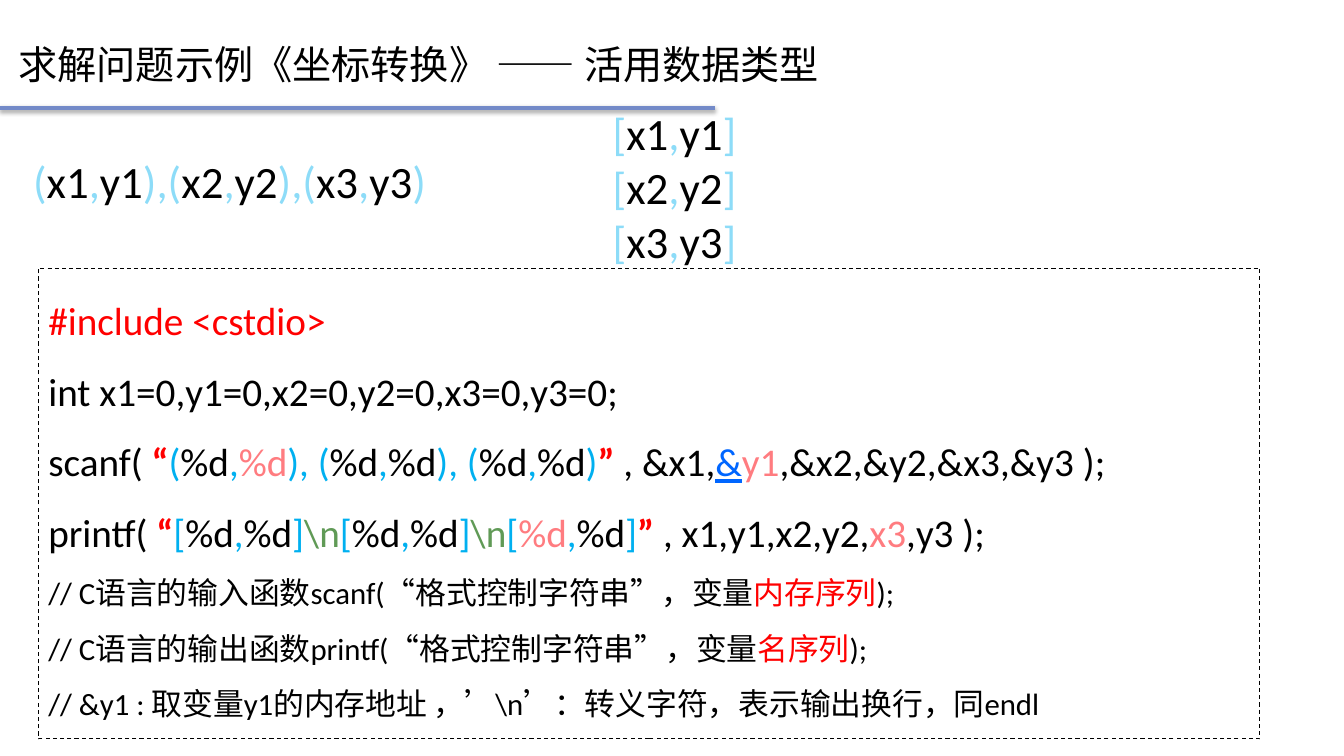
from lxml import etree
from pptx import Presentation
from pptx.dml.color import RGBColor
from pptx.enum import dml, shapes, text
from pptx.oxml import ns
from pptx.util import Pt

BLACK = RGBColor(0x00, 0x00, 0x00)
RED = RGBColor(0xFF, 0x00, 0x00)
PINK = RGBColor(0xFF, 0x7C, 0x80)
SKY = RGBColor(0x8D, 0xDC, 0xF8)
CYAN = RGBColor(0x00, 0xB0, 0xF0)
GREEN = RGBColor(0x60, 0x9A, 0x56)
LINK = RGBColor(0x00, 0x66, 0xFF)
RULE = RGBColor(0x73, 0x8A, 0xC8)


class SlideBuilder:
    latin = "Calibri"
    chinese = "Noto Sans CJK SC"

    def __init__(self, presentation):
        self.slide = presentation.slides.add_slide(presentation.slide_layouts[5])

    def format_run(self, run, size, color, latin):
        font = run.font
        font.name = latin
        font.size = Pt(size)
        font.color.rgb = color
        font.bold = run.text.strip() in ("“", "”")
        font.underline = color == LINK
        east_asian = etree.Element(ns.qn("a:ea"), typeface=self.chinese)
        font._element.find(ns.qn("a:latin")).addnext(east_asian)

    def fill_text(self, text_frame, lines, spacing=None):
        text_frame.word_wrap = True
        text_frame.auto_size = text.MSO_AUTO_SIZE.SHAPE_TO_FIT_TEXT
        text_frame.vertical_anchor = text.MSO_ANCHOR.TOP
        for index, (size, pieces) in enumerate(lines):
            paragraph = text_frame.paragraphs[0] if index == 0 else text_frame.add_paragraph()
            paragraph.alignment = text.PP_ALIGN.LEFT
            paragraph.line_spacing = spacing
            for words, color in pieces:
                run = paragraph.add_run()
                run.text = words
                self.format_run(run, size, color, self.latin)

    def title(self, words, left, top, width, height):
        shape = self.slide.shapes.title
        shape.left, shape.top, shape.width, shape.height = map(Pt, (left, top, width, height))
        text_frame = shape.text_frame
        text_frame.text = words
        text_frame.word_wrap = True
        text_frame.auto_size = text.MSO_AUTO_SIZE.NONE
        text_frame.vertical_anchor = text.MSO_ANCHOR.MIDDLE
        paragraph = text_frame.paragraphs[0]
        paragraph.alignment = text.PP_ALIGN.LEFT
        self.format_run(paragraph.runs[0], 28, BLACK, self.chinese)

    def shadowed_rule(self, left, right, top):
        connector = self.slide.shapes.add_connector(
            shapes.MSO_CONNECTOR.STRAIGHT, Pt(left), Pt(top), Pt(right), Pt(top))
        connector.line.color.rgb = RULE
        connector.line.width = Pt(3)
        effects = etree.SubElement(connector._element.spPr, ns.qn("a:effectLst"))
        shadow = etree.SubElement(
            effects, ns.qn("a:outerShdw"), blurRad=str(Pt(3.1)), dist=str(Pt(1.8)),
            dir="5400000", rotWithShape="0")
        color = etree.SubElement(shadow, ns.qn("a:srgbClr"), val=str(BLACK))
        etree.SubElement(color, ns.qn("a:alpha"), val="35000")

    def text_box(self, lines, left, top, width, height):
        shape = self.slide.shapes.add_textbox(Pt(left), Pt(top), Pt(width), Pt(height))
        self.fill_text(shape.text_frame, lines)

    def code_frame(self, lines, left, top, width, height):
        shape = self.slide.shapes.add_shape(
            shapes.MSO_SHAPE.RECTANGLE, Pt(left), Pt(top), Pt(width), Pt(height))
        shape.shadow.inherit = False
        shape.fill.background()
        shape.line.color.rgb = BLACK
        shape.line.width = Pt(0.75)
        shape.line.dash_style = dml.MSO_LINE.DASH
        self.fill_text(shape.text_frame, lines, 1.5)


def pair(opening, first, second, closing, mark, first_color=BLACK, second_color=BLACK):
    return [(opening, mark), (first, first_color), (",", mark),
            (second, second_color), (closing, mark)]


def main():
    presentation = Presentation()
    presentation.slide_width = Pt(960)
    presentation.slide_height = Pt(540)
    builder = SlideBuilder(presentation)

    builder.title("求解问题示例《坐标转换》 —— 活用数据类型", 6, 14.4, 620, 62.6)
    builder.shadowed_rule(0, 510.5, 77)

    points = [(f"x{number}", f"y{number}") for number in (1, 2, 3)]
    input_line = [("(", SKY)]
    for index, (x, y) in enumerate(points):
        closing = ")" if index == len(points) - 1 else "),("
        input_line += pair("", x, y, closing, SKY)[1:]
    builder.text_box([(32, input_line)], 16.5, 106.5, 494, 85)

    newline = [("\\n", GREEN)]
    scanf_line = [
        ("scanf( ", BLACK), ("“", RED),
        *pair("(", "%d", "%d", "), (", CYAN, second_color=PINK),
        *pair("", "%d", "%d", "), (", CYAN)[1:],
        *pair("", "%d", "%d", ")", CYAN)[1:],
        ("” ", RED), (", &x1,", BLACK), ("&", LINK), ("y1", PINK),
        (",&x2,&y2,&x3,&y3 );", BLACK)]
    printf_line = [
        ("printf( ", BLACK), ("“", RED),
        *pair("[", "%d", "%d", "]", CYAN), *newline,
        *pair("[", "%d", "%d", "]", CYAN), *newline,
        *pair("[", "%d", "%d", "]", CYAN, first_color=PINK),
        ("” ", RED), (", x1,y1,x2,y2,", BLACK), ("x3", PINK), (",y3 );", BLACK)]
    code = [
        (28, [("#include <cstdio>", RED)]),
        (28, [("int x1=0,y1=0,x2=0,y2=0,x3=0,y3=0;", BLACK)]),
        (28, scanf_line),
        (28, printf_line)]
    for label, sequence in (("输入函数scanf", "内存序列"), ("输出函数printf", "名序列")):
        code.append((22, [(f"// C语言的{label}(“格式控制字符串”，变量", BLACK),
                          (sequence, RED), (");", BLACK)]))
    code.append((22, [("// &y1 : 取变量y1的内存地址 ，’\\n’：转义字符，表示输出换行，同endl", BLACK)]))
    builder.code_frame(code, 27.4, 191.5, 872.6, 336.2)

    output_lines = [(32, pair("[", x, y, "]", SKY)) for x, y in points]
    builder.text_box(output_lines, 430.5, 72, 148.3, 123.8)

    presentation.save("out.pptx")


if __name__ == "__main__":
    main()
